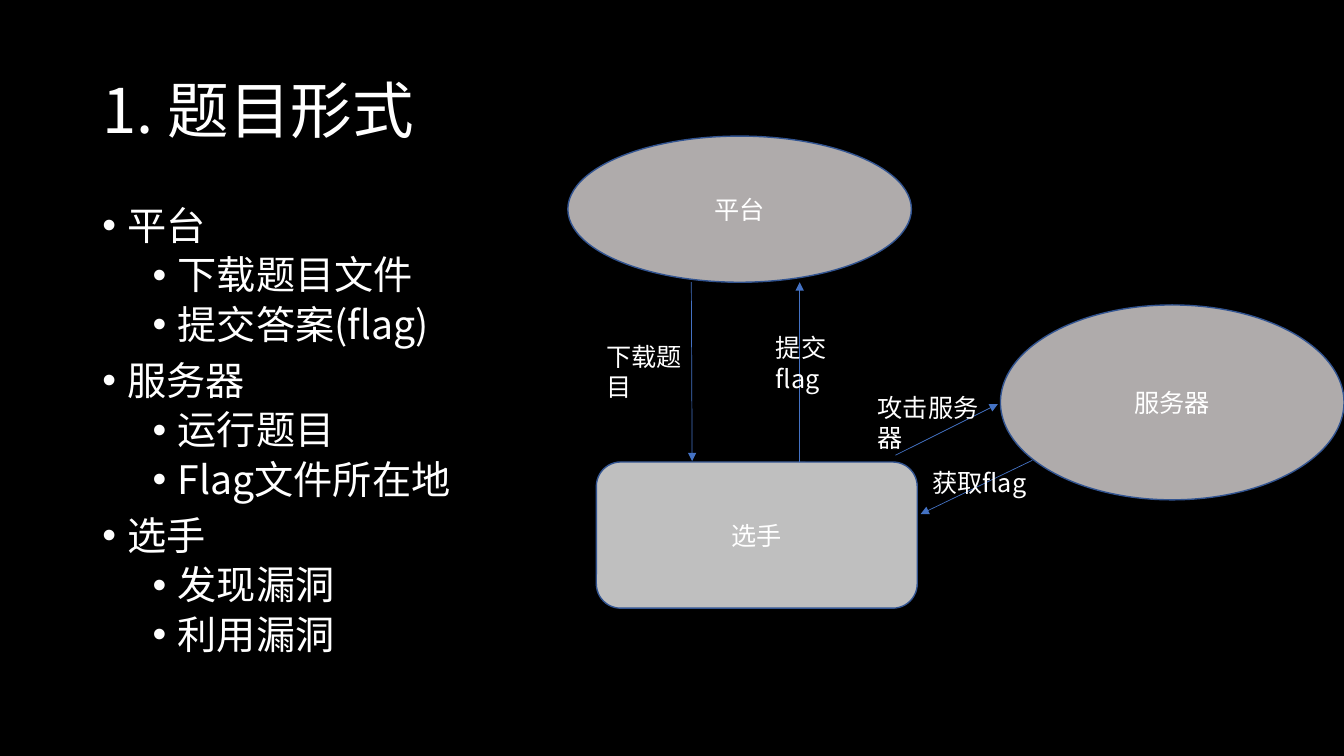
from dataclasses import dataclass

import pptx
import pptx.dml.color
import pptx.enum.shapes
import pptx.enum.text
import pptx.oxml.ns
import pptx.oxml.xmlchemy
import pptx.util
from lxml import etree

SHAPES = pptx.enum.shapes.MSO_SHAPE
ALIGN = pptx.enum.text.PP_ALIGN
ANCHOR = pptx.enum.text.MSO_ANCHOR
COLUMNS, ROWS = 160, 90
SLIDE_WIDTH = pptx.util.Inches(40 / 3)
SLIDE_HEIGHT = pptx.util.Inches(7.5)


@dataclass(frozen=True)
class Theme:
    font: str = "Noto Sans CJK SC"
    background: str = "000000"
    text: str = "FFFFFF"
    oval: str = "AFABAB"
    box: str = "BFBFBF"
    outline: str = "325491"
    arrow: str = "4472C4"
    title_size: int = 44
    body_size: int = 28
    label_size: int = 18


@dataclass(frozen=True)
class Area:
    column: float
    row: float
    columns: float
    rows: float

    def lengths(self) -> tuple[int, int, int, int]:
        return (across(self.column), down(self.row), across(self.columns), down(self.rows))


@dataclass(frozen=True)
class Node:
    text: str
    area: Area
    kind: SHAPES
    fill: str


@dataclass(frozen=True)
class Arrow:
    start: tuple[float, float]
    end: tuple[float, float]


@dataclass(frozen=True)
class Label:
    text: str
    area: Area


@dataclass(frozen=True)
class Topic:
    text: str
    details: tuple[str, ...]


THEME = Theme()
TITLE = Label("1. 题目形式", Area(11, 4.8, 138, 17.4))
OUTLINE_AREA = Area(11, 24, 138, 57.1)
TOPICS = (
    Topic("平台", ("下载题目文件", "提交答案(flag)")),
    Topic("服务器", ("运行题目", "Flag文件所在地")),
    Topic("选手", ("发现漏洞", "利用漏洞")),
)
NODES = (
    Node("平台", Area(67.6, 16.2, 40.9, 17.4), SHAPES.OVAL, THEME.oval),
    Node("服务器", Area(119.1, 36.3, 40.9, 23.2), SHAPES.OVAL, THEME.oval),
    Node("选手", Area(71, 55, 38.2, 17.4), SHAPES.ROUNDED_RECTANGLE, THEME.box),
)
ARROWS = (
    Arrow((95.2, 55), (95.2, 33.6)),
    Arrow((82.3, 33.6), (82.4, 54.9)),
    Arrow((106.6, 54.2), (118.8, 48.1)),
    Arrow((122.9, 54.8), (109.6, 61.2)),
)
LABELS = (
    Label("下载题目", Area(71, 40, 13.1, 8.5)),
    Label("提交flag", Area(91.2, 39, 12, 8.5)),
    Label("攻击服务器", Area(103.3, 46.1, 17.2, 8.5)),
    Label("获取flag", Area(109.8, 55, 17.2, 4.8)),
)


def across(columns: float) -> int:
    return round(SLIDE_WIDTH * columns / COLUMNS)


def down(rows: float) -> int:
    return round(SLIDE_HEIGHT * rows / ROWS)


def color(value: str) -> pptx.dml.color.RGBColor:
    return pptx.dml.color.RGBColor.from_string(value)


def add_element(parent, tag: str, **attributes: str) -> None:
    etree.SubElement(parent, pptx.oxml.ns.qn(tag), attributes)


def write(paragraph, text: str, size: int, alignment: ALIGN = ALIGN.LEFT) -> None:
    paragraph.text = text
    paragraph.alignment = alignment
    paragraph.font.size = pptx.util.Pt(size)
    paragraph.font.color.rgb = color(THEME.text)
    paragraph.font.name = THEME.font
    add_element(paragraph._p.pPr.find(pptx.oxml.ns.qn("a:defRPr")), "a:ea", typeface=THEME.font)


def add_bullet(paragraph, level: int) -> None:
    paragraph.level = level
    paragraph.line_spacing = 0.9
    paragraph.space_before = pptx.util.Pt(5 if level else 10)
    properties = paragraph._p.get_or_add_pPr()
    properties.set("marL", str(pptx.util.Inches(0.25 + 0.5 * level)))
    properties.set("indent", str(pptx.util.Inches(-0.25)))
    add_element(properties, "a:buFont", typeface="Arial")
    add_element(properties, "a:buChar", char="•")


def add_title(slide, title: Label) -> None:
    shape = slide.shapes.title
    shape.left, shape.top, shape.width, shape.height = title.area.lengths()
    frame = shape.text_frame
    frame.vertical_anchor = ANCHOR.MIDDLE
    frame.auto_size = pptx.enum.text.MSO_AUTO_SIZE.NONE
    write(frame.paragraphs[0], title.text, THEME.title_size)
    frame.paragraphs[0].line_spacing = 0.9


def add_outline(slide, area: Area, topics: tuple[Topic, ...]) -> None:
    frame = slide.shapes.add_textbox(*area.lengths()).text_frame
    frame.word_wrap = True
    lines = [
        (text, level)
        for topic in topics
        for text, level in ((topic.text, 0), *((detail, 1) for detail in topic.details))
    ]
    for index, (text, level) in enumerate(lines):
        paragraph = frame.add_paragraph() if index else frame.paragraphs[0]
        add_bullet(paragraph, level)
        write(paragraph, text, THEME.body_size)


def add_node(slide, node: Node) -> None:
    shape = slide.shapes.add_shape(node.kind, *node.area.lengths())
    shape.shadow.inherit = False
    shape.fill.solid()
    shape.fill.fore_color.rgb = color(node.fill)
    shape.line.color.rgb = color(THEME.outline)
    shape.line.width = pptx.util.Pt(1)
    shape.text_frame.vertical_anchor = ANCHOR.MIDDLE
    write(shape.text_frame.paragraphs[0], node.text, THEME.label_size, ALIGN.CENTER)


def add_arrow(slide, arrow: Arrow) -> None:
    connector = slide.shapes.add_connector(
        pptx.enum.shapes.MSO_CONNECTOR.STRAIGHT,
        across(arrow.start[0]), down(arrow.start[1]),
        across(arrow.end[0]), down(arrow.end[1]),
    )
    connector.line.color.rgb = color(THEME.arrow)
    connector.line.width = pptx.util.Pt(0.5)
    add_element(connector.line._get_or_add_ln(), "a:tailEnd", type="triangle")
    add_element(connector._element.spPr, "a:effectLst")


def add_label(slide, label: Label) -> None:
    frame = slide.shapes.add_textbox(*label.area.lengths()).text_frame
    frame.word_wrap = True
    frame.auto_size = pptx.enum.text.MSO_AUTO_SIZE.SHAPE_TO_FIT_TEXT
    write(frame.paragraphs[0], label.text, THEME.label_size)


def main() -> None:
    presentation = pptx.Presentation()
    presentation.slide_width = SLIDE_WIDTH
    presentation.slide_height = SLIDE_HEIGHT
    slide = presentation.slides.add_slide(presentation.slide_layouts.get_by_name("Title Only"))
    slide.background.fill.solid()
    slide.background.fill.fore_color.rgb = color(THEME.background)
    add_title(slide, TITLE)
    add_outline(slide, OUTLINE_AREA, TOPICS)
    for node in NODES:
        add_node(slide, node)
    for arrow in ARROWS:
        add_arrow(slide, arrow)
    for label in LABELS:
        add_label(slide, label)
    presentation.save("out.pptx")


if __name__ == "__main__":
    main()
